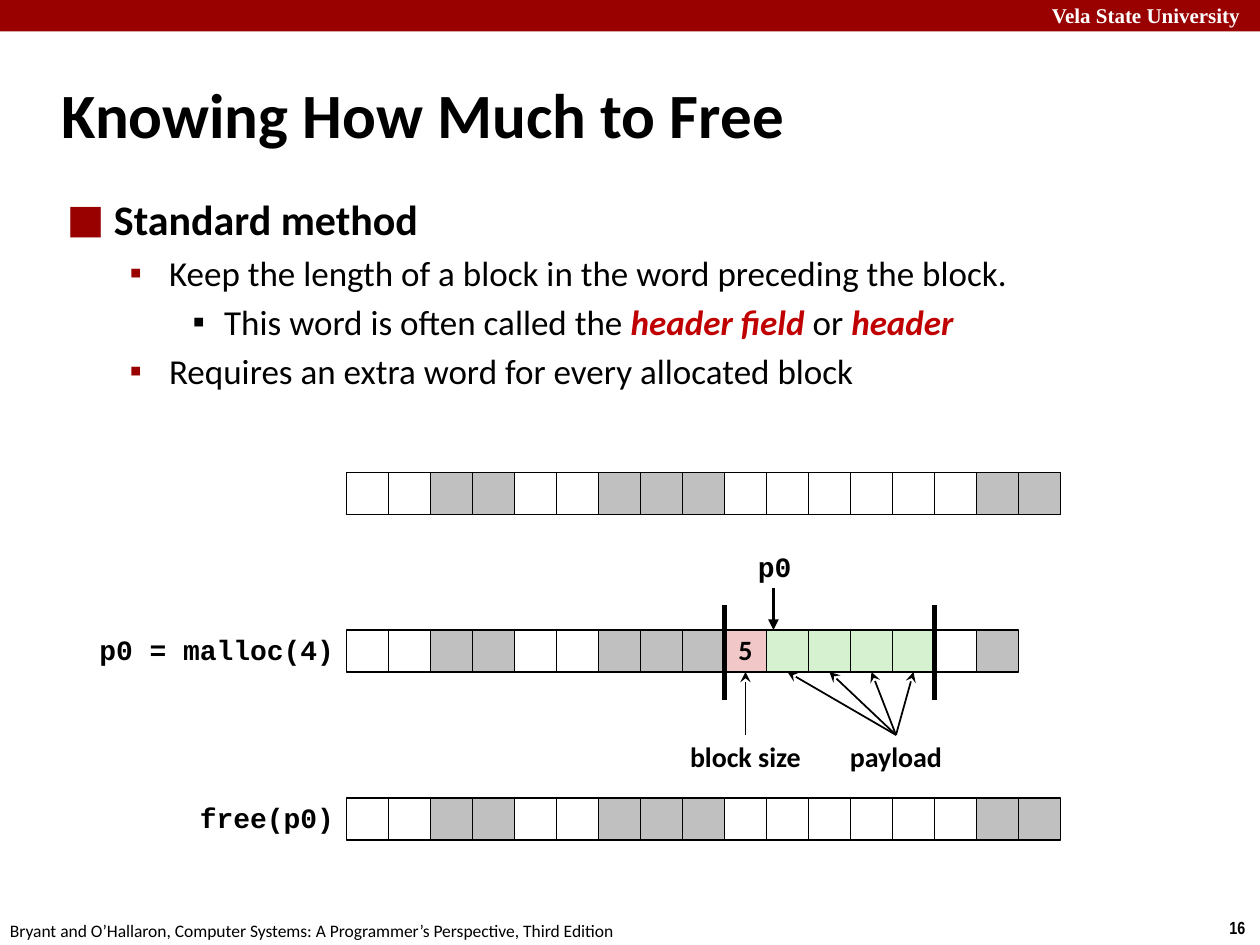
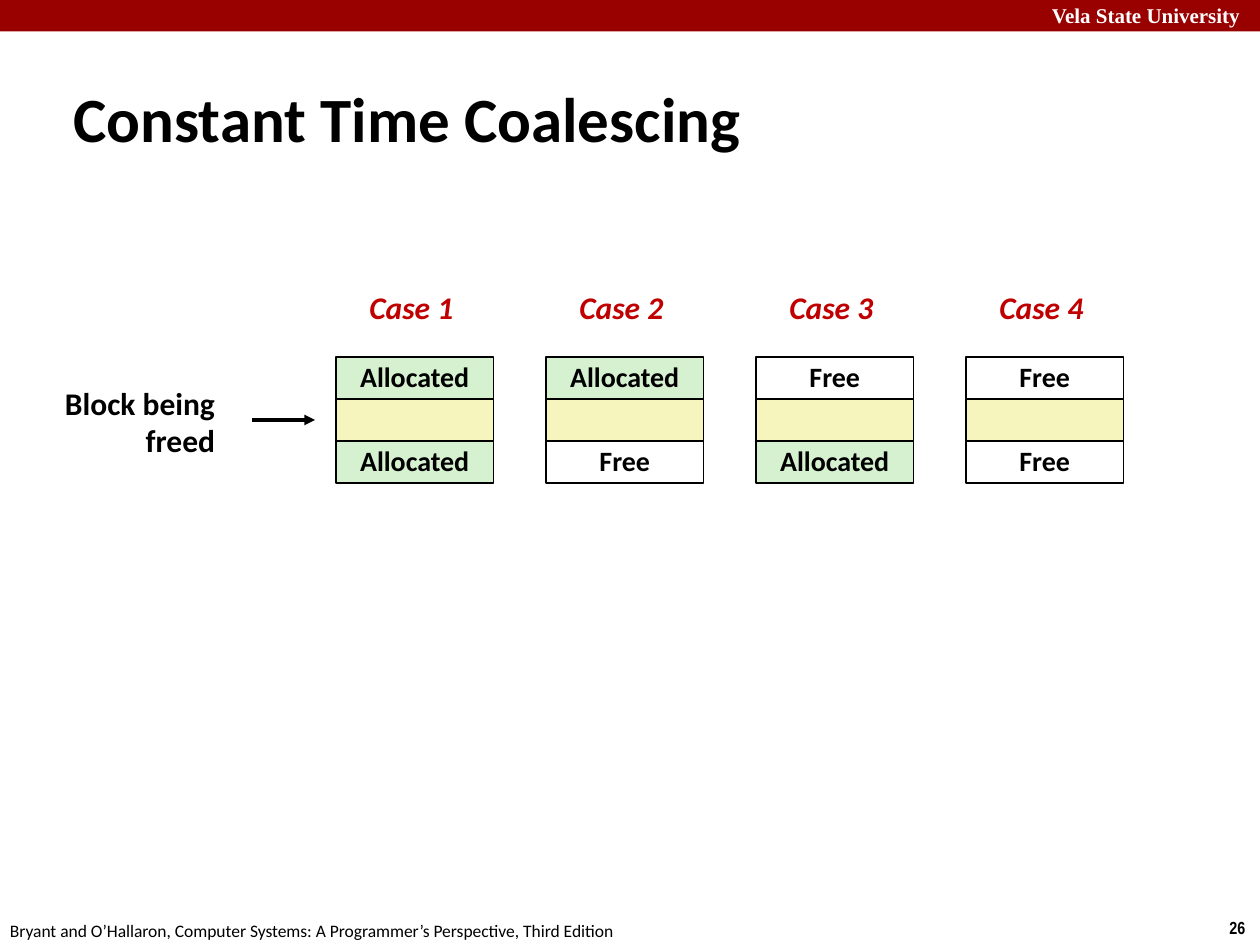
import dataclasses

import lxml.etree
import pptx
import pptx.dml.color
import pptx.enum.shapes
import pptx.enum.text
import pptx.oxml.ns
import pptx.util

Pt = pptx.util.Pt
ALIGNMENTS = {
    "left": pptx.enum.text.PP_ALIGN.LEFT,
    "center": pptx.enum.text.PP_ALIGN.CENTER,
    "right": pptx.enum.text.PP_ALIGN.RIGHT,
}


@dataclasses.dataclass(frozen=True)
class Theme:
    """Colours, fonts and type sizes shared by the slides."""

    band: str = "990000"
    accent: str = "C00000"
    ink: str = "000000"
    paper: str = "FFFFFF"
    used: str = "C0C0C0"
    header: str = "F1C7C7"
    allocated: str = "D5F1CF"
    freed: str = "F6F5BD"
    font: str = "Calibri"
    code_font: str = "Courier New"
    band_font: str = "Times New Roman"
    number_font: str = "Arial Narrow"
    bullet_font: str = "Arial"
    title_size: int = 36
    heading_size: int = 24
    body_size: int = 20
    case_size: int = 18
    label_size: int = 16
    band_size: int = 12
    footer_size: int = 10


THEME = Theme()
CELL = 24
MEMORY = "..##..###......##"
MEMORY_AFTER_MALLOC = "..##..###haaaa.#"
CELL_FILLS = {".": THEME.paper, "#": THEME.used, "h": THEME.header, "a": THEME.allocated}


def color(value):
    """Turn a hex string into a colour."""
    return pptx.dml.color.RGBColor.from_string(value)


def add_paragraph_text(paragraph, text, *, size=THEME.label_size, font=THEME.font, ink=THEME.ink,
                       bold=True, italic=False, align="left", spacing=None):
    """Append one formatted run to a paragraph."""
    run = paragraph.add_run()
    run.text = text
    run.font.size = Pt(size)
    run.font.name = font
    run.font.bold = bold
    run.font.italic = italic
    run.font.color.rgb = color(ink)
    paragraph.alignment = ALIGNMENTS[align]
    if spacing:
        paragraph.line_spacing = spacing


def add_label(slide, lines, left, top, width, height, *, middle=False, **text_format):
    """Add an unwrapped text box with one paragraph for each line."""
    frame = slide.shapes.add_textbox(Pt(left), Pt(top), Pt(width), Pt(height)).text_frame
    frame.word_wrap = False
    if middle:
        frame.vertical_anchor = pptx.enum.text.MSO_ANCHOR.MIDDLE
    for index, line in enumerate(lines.split("\n")):
        paragraph = frame.add_paragraph() if index else frame.paragraphs[0]
        add_paragraph_text(paragraph, line, **text_format)


def add_box(slide, left, top, width, height, fill, *, text="", outlined=True):
    """Add a filled rectangle with optional centred text."""
    shape = slide.shapes.add_shape(pptx.enum.shapes.MSO_SHAPE.RECTANGLE,
                                   Pt(left), Pt(top), Pt(width), Pt(height))
    shape.shadow.inherit = False
    shape.fill.solid()
    shape.fill.fore_color.rgb = color(fill)
    if outlined:
        shape.line.color.rgb = color(THEME.ink)
        shape.line.width = Pt(1)
    else:
        shape.line.fill.background()
    if text:
        shape.text_frame.vertical_anchor = pptx.enum.text.MSO_ANCHOR.MIDDLE
        add_paragraph_text(shape.text_frame.paragraphs[0], text, align="center", spacing=0.98)


def add_line(slide, start, end, width, *, arrow=None):
    """Draw a straight line, with an arrowhead at its end if one is named."""
    connector = slide.shapes.add_connector(pptx.enum.shapes.MSO_CONNECTOR.STRAIGHT,
                                           Pt(start[0]), Pt(start[1]), Pt(end[0]), Pt(end[1]))
    connector.line.color.rgb = color(THEME.ink)
    connector.line.width = Pt(width)
    properties = connector._element.spPr
    lxml.etree.SubElement(properties, pptx.oxml.ns.qn("a:effectLst"))
    if arrow:
        line = properties.find(pptx.oxml.ns.qn("a:ln"))
        lxml.etree.SubElement(line, pptx.oxml.ns.qn("a:tailEnd"), type=arrow)


def set_bullet(paragraph, character, ink, margin, hanging, percent):
    """Give a paragraph a coloured, scaled bullet and a hanging indent."""
    properties = paragraph._p.get_or_add_pPr()
    properties.set("marL", str(Pt(margin)))
    properties.set("indent", str(-Pt(hanging)))
    bullet_color = lxml.etree.SubElement(properties, pptx.oxml.ns.qn("a:buClr"))
    lxml.etree.SubElement(bullet_color, pptx.oxml.ns.qn("a:srgbClr"), val=ink)
    lxml.etree.SubElement(properties, pptx.oxml.ns.qn("a:buSzPct"), val=str(percent * 1000))
    lxml.etree.SubElement(properties, pptx.oxml.ns.qn("a:buFont"), typeface=THEME.bullet_font)
    lxml.etree.SubElement(properties, pptx.oxml.ns.qn("a:buChar"), char=character)


def add_base_slide(presentation, number, title, title_box):
    """Add a blank slide with the shared band, footer, number and title."""
    slide = presentation.slides.add_slide(presentation.slide_layouts[6])
    add_box(slide, 0, 0, 720, 18, THEME.band, outlined=False)
    add_label(slide, "Vela State University", 594, -2, 131, 21.6,
              size=THEME.band_size, font=THEME.band_font, ink=THEME.paper)
    add_label(slide, number, 695.5, 520.5, 24.5, 19.5,
              size=THEME.footer_size, font=THEME.number_font)
    add_label(slide, "Bryant and O’Hallaron, Computer Systems: A Programmer’s Perspective, Third Edition",
              -1.4, 522, 366, 19.5, size=THEME.footer_size, bold=False)
    add_label(slide, title, *title_box, middle=True, size=THEME.title_size)
    return slide


def add_method_outline(slide, left, top, width, height):
    """Write the bulleted explanation of the header field."""
    frame = slide.shapes.add_textbox(Pt(left), Pt(top), Pt(width), Pt(height)).text_frame
    frame.word_wrap = True
    levels = [("■", THEME.band, 27, 27, 150), ("▪", THEME.band, 58.5, 22.5, 100),
              ("▪", THEME.ink, 90, 18, 100)]
    outline = [
        (0, ["Standard method"]),
        (1, ["Keep the length of a block in the word preceding the block."]),
        (2, ["This word is often called the ", "header field ", "or ", "header"]),
        (1, ["Requires an extra word for every allocated block"]),
    ]
    for index, (level, pieces) in enumerate(outline):
        paragraph = frame.add_paragraph() if index else frame.paragraphs[0]
        paragraph.level = level
        paragraph.space_before = Pt(4 if level else 0)
        for piece in pieces:
            term = piece.startswith("header")
            add_paragraph_text(paragraph, piece, bold=term or level == 0, italic=term,
                               size=THEME.body_size if level else THEME.heading_size,
                               ink=THEME.accent if term else THEME.ink)
        set_bullet(paragraph, *levels[level])


def add_memory_row(slide, left, top, words, call=""):
    """Draw a row of memory words with the call that led to it."""
    if call:
        add_label(slide, call, left - 150, top - 0.7, 150, 26, font=THEME.code_font,
                  align="right", spacing=0.94)
    for index, word in enumerate(words):
        add_box(slide, left + index * CELL, top, CELL, CELL, CELL_FILLS[word],
                text="5" if word == "h" else "")


def add_block_notes(slide, left, top, words):
    """Mark the bounds, pointer, size and payload of the allocated block in a row."""
    header = words.index("h")
    payload = [index for index, word in enumerate(words) if word == "a"]
    bottom, label_top = top + CELL, top + 60
    pointer_x = left + payload[0] * CELL + 4
    size_x = left + (header + 0.5) * CELL
    payload_x = left + 314
    add_label(slide, "p0", pointer_x - 16, top - 48, 34, 25, font=THEME.code_font, spacing=0.94)
    add_line(slide, (pointer_x, top - 24), (pointer_x, top), 2, arrow="triangle")
    for edge in (header, payload[-1] + 1):
        x = left + edge * CELL
        add_line(slide, (x, top - 14), (x, top + 40), 3)
    for text, center in (("block size", size_x), ("payload", payload_x)):
        add_label(slide, text, center - 39, label_top, 78, 26.6, align="center", spacing=0.98)
    add_line(slide, (size_x, label_top), (size_x, bottom), 1, arrow="stealth")
    for index in payload:
        add_line(slide, (payload_x, label_top), (left + (index + 0.5) * CELL, bottom), 1,
                 arrow="stealth")


def add_case(slide, left, top, width, name, above, below):
    """Draw one case: its name and the freed block between two neighbours."""
    add_label(slide, name, left + 12, top - 42, 62.6, 28.8, size=THEME.case_size,
              ink=THEME.accent, italic=True, spacing=0.98)
    fills = {"Allocated": THEME.allocated, "Free": THEME.paper, "": THEME.freed}
    for index, state in enumerate((above, "", below)):
        add_box(slide, left, top + index * CELL, width, CELL, fills[state], text=state)


def build_free_slide(presentation):
    """Build the slide on knowing how much to free."""
    slide = add_base_slide(presentation, "16", "Knowing How Much to Free", (28, 34.6, 598, 60))
    add_method_outline(slide, 31, 107.3, 622, 392)
    left, malloc_top = 198, 360
    add_memory_row(slide, left, 270, MEMORY)
    add_memory_row(slide, left, malloc_top, MEMORY_AFTER_MALLOC, "p0 = malloc(4)")
    add_memory_row(slide, left, 456, MEMORY, "free(p0)")
    add_block_notes(slide, left, malloc_top, MEMORY_AFTER_MALLOC)


def build_coalescing_slide(presentation):
    """Build the slide on the four coalescing cases."""
    slide = add_base_slide(presentation, "26", "Constant Time Coalescing", (35, 44.6, 553, 45.4))
    top = 204
    neighbours = [(above, below) for above in ("Allocated", "Free") for below in ("Allocated", "Free")]
    for index, (above, below) in enumerate(neighbours):
        add_case(slide, 192 + index * 120, top, 90, f"Case {index + 1}", above, below)
    add_label(slide, "Block being\nfreed", 29, top + 12.7, 101, 50.4,
              size=THEME.case_size, align="right", spacing=0.98)
    arrow_y = top + 1.5 * CELL
    add_line(slide, (144, arrow_y), (180, arrow_y), 2, arrow="triangle")


def main():
    """Build and save the presentation."""
    presentation = pptx.Presentation()
    presentation.slide_width = Pt(720)
    presentation.slide_height = Pt(540)
    build_free_slide(presentation)
    build_coalescing_slide(presentation)
    presentation.save("out.pptx")


if __name__ == "__main__":
    main()
